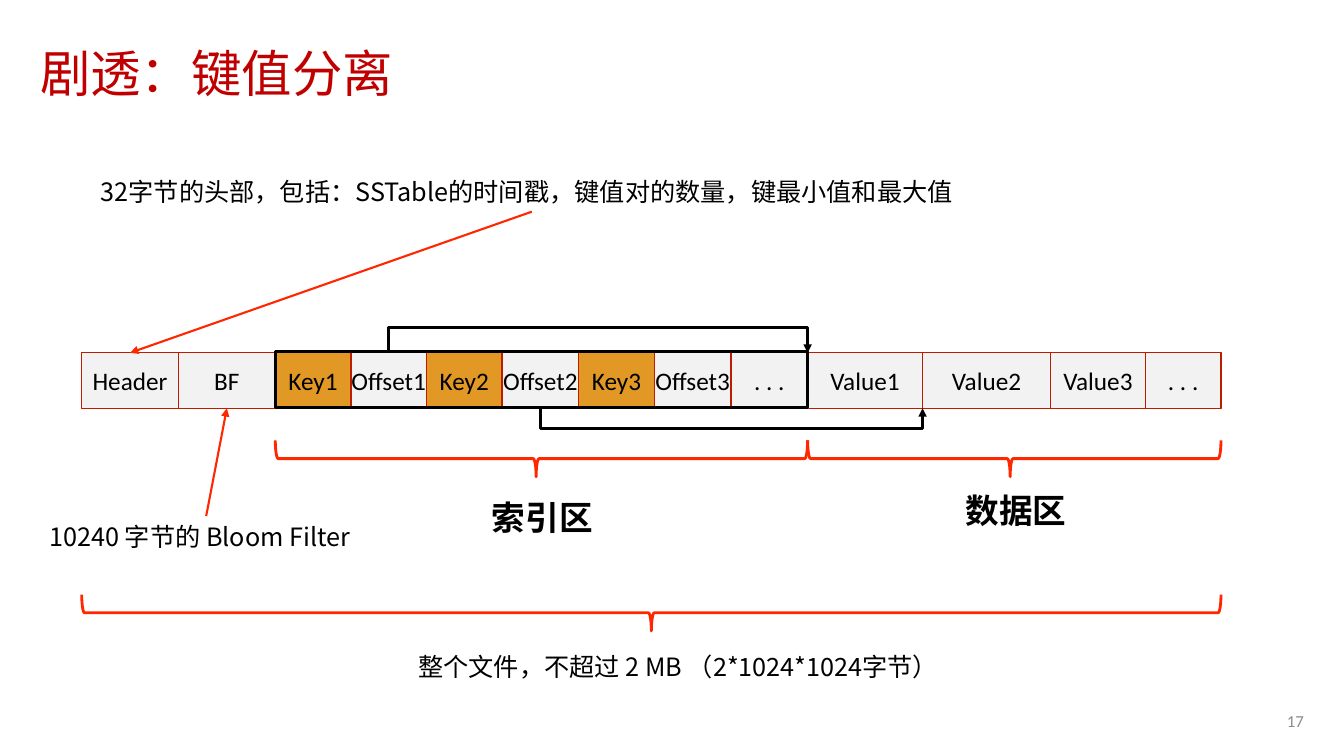
from lxml.etree import SubElement
from pptx import Presentation
from pptx.dml.color import RGBColor
from pptx.enum.shapes import MSO_CONNECTOR, MSO_SHAPE
from pptx.enum.text import MSO_ANCHOR, PP_ALIGN
from pptx.oxml.ns import qn
from pptx.util import Pt

PX = 9144  # EMU in one px, 100 px to the inch
LATIN, CJK = "Calibri", "Noto Sans CJK SC"
COLORS = {
    "black": "000000", "title": "C00000", "number": "8C8C8C", "accent": "FF2600",
    "border": "BD1C00", "key": "E19825", "plain": "F2F2F2",
}
ROW_LEFT, ROW_TOP, ROW_HEIGHT = 81, 350, 55
FIELDS = [
    ("Header", 96), ("BF", 96),
    ("Key1", 75), ("Offset1", 75), ("Key2", 75), ("Offset2", 76),
    ("Key3", 75), ("Offset3", 76), (". . .", 76),
    ("Value1", 114), ("Value2", 127), ("Value3", 94), (". . .", 75),
]


def emu(*lengths):
    return [round(n * PX) for n in lengths]


def rgb(name):
    return RGBColor.from_string(COLORS[name])


def set_line(sp, color, width):
    sp.line.color.rgb = rgb(color)
    sp.line.width = Pt(width)


def add_arrowhead(sp):
    SubElement(sp._element.spPr.get_or_add_ln(), qn("a:tailEnd"), type="triangle")


def set_text(sp, text, size, font, color="black", bold=False,
             align=PP_ALIGN.LEFT, anchor=MSO_ANCHOR.TOP, wrap=False):
    tf = sp.text_frame
    tf.text = text
    tf.word_wrap = wrap
    tf.vertical_anchor = anchor
    p = tf.paragraphs[0]
    p.alignment = align
    r = p.runs[0]
    r.font.size = Pt(size)
    r.font.bold = bold
    r.font.color.rgb = rgb(color)
    r.font.name = font
    SubElement(r._r.get_or_add_rPr(), qn("a:ea"), typeface=font)
    return p


def add_label(s, box, text, size=18, font=CJK, **style):
    sp = s.shapes.add_textbox(*emu(*box))
    set_text(sp, text, size, font, **style)
    return sp


def add_outline(s, shape, box, color, width):
    sp = s.shapes.add_shape(shape, *emu(*box))
    sp.shadow.inherit = False
    sp.fill.background()
    set_line(sp, color, width)
    return sp


def add_fields(s):
    """Draw the row of file fields and return its cells from left to right."""
    cells = []
    left = ROW_LEFT
    for name, width in FIELDS:
        sp = add_outline(s, MSO_SHAPE.RECTANGLE,
                         (left, ROW_TOP, width, ROW_HEIGHT), "border", 1)
        sp.fill.solid()
        sp.fill.fore_color.rgb = rgb("key" if name.startswith("Key") else "plain")
        set_text(sp, name, 18, LATIN, align=PP_ALIGN.CENTER, anchor=MSO_ANCHOR.MIDDLE)
        cells.append(sp)
        left += width
    return cells


def add_brace(s, left, right, top, middle):
    """Draw a brace that spans left to right and points down."""
    depth, length = 36, right - left
    box = ((left + right - depth) / 2, top + (depth - length) / 2, depth, length)
    sp = add_outline(s, MSO_SHAPE.RIGHT_BRACE, box, "accent", 2)
    sp.rotation = 90
    sp.adjustments[0] = 0.08
    sp.adjustments[1] = middle


def add_pointer(s, offset, value, edge, turn):
    """Draw a bent arrow from the middle of an offset to the start of a value."""
    start_x, end_x = offset.left + offset.width // 2, value.left
    edge_y, turn_y = emu(edge, turn)
    builder = s.shapes.build_freeform(start_x, edge_y)
    builder.add_line_segments(
        [(start_x, turn_y), (end_x, turn_y), (end_x, edge_y)], close=False)
    sp = builder.convert_to_shape()
    sp.shadow.inherit = False
    sp.fill.background()
    set_line(sp, "black", 2)
    add_arrowhead(sp)


def add_note_arrow(s, note, note_side, cell, cell_side):
    sp = s.shapes.add_connector(MSO_CONNECTOR.STRAIGHT, 0, 0, 0, 0)
    sp.begin_connect(note, note_side)
    sp.end_connect(cell, cell_side)
    set_line(sp, "accent", 1.5)
    add_arrowhead(sp)
    SubElement(sp._element.spPr, qn("a:effectLst"))


def main():
    prs = Presentation()
    prs.slide_width, prs.slide_height = emu(1333, 750)
    s = prs.slides.add_slide(prs.slide_layouts[6])

    title = s.shapes.add_textbox(*emu(30, 40, 1273, 71))
    p = set_text(title, "剧透：键值分离", 36, CJK, color="title",
                 anchor=MSO_ANCHOR.MIDDLE, wrap=True)
    p.line_spacing = 0.9

    cells = add_fields(s)
    header, bloom, key1, offset1, _, offset2 = cells[:6]
    value1, value2 = cells[9:11]
    index_left, data_left = key1.left // PX, value1.left // PX
    row_right = ROW_LEFT + sum(width for _, width in FIELDS)
    row_bottom = ROW_TOP + ROW_HEIGHT

    add_pointer(s, offset2, value2, row_bottom, 425)
    add_pointer(s, offset1, value1, ROW_TOP, 325)
    add_outline(s, MSO_SHAPE.RECTANGLE,
                (index_left, ROW_TOP - 1, data_left - index_left, ROW_HEIGHT),
                "black", 2)

    add_brace(s, index_left, data_left, 437, 0.51)
    add_brace(s, data_left, row_right, 437, 0.51)
    add_brace(s, ROW_LEFT, row_right, 590, 0.5)
    add_label(s, (478, 488, 121, 50), "索引区", 24, bold=True)
    add_label(s, (948, 481, 121, 50), "数据区", 24, bold=True)

    header_note = add_label(
        s, (90, 170, 875, 40),
        "32字节的头部，包括：SSTable的时间戳，键值对的数量，键最小值和最大值", wrap=True)
    bloom_note = add_label(s, (39, 512, 331, 40), "10240 字节的 Bloom Filter")
    add_label(s, (405, 641, 557, 40),
              "整个文件，不超过 2 MB （2*1024*1024字节）", wrap=True)
    add_note_arrow(s, header_note, 2, header, 0)
    add_note_arrow(s, bloom_note, 0, bloom, 2)

    add_label(s, (942, 695, 361, 40), "17", 12, LATIN, color="number",
              align=PP_ALIGN.RIGHT, anchor=MSO_ANCHOR.MIDDLE, wrap=True)
    prs.save("out.pptx")


if __name__ == "__main__":
    main()
